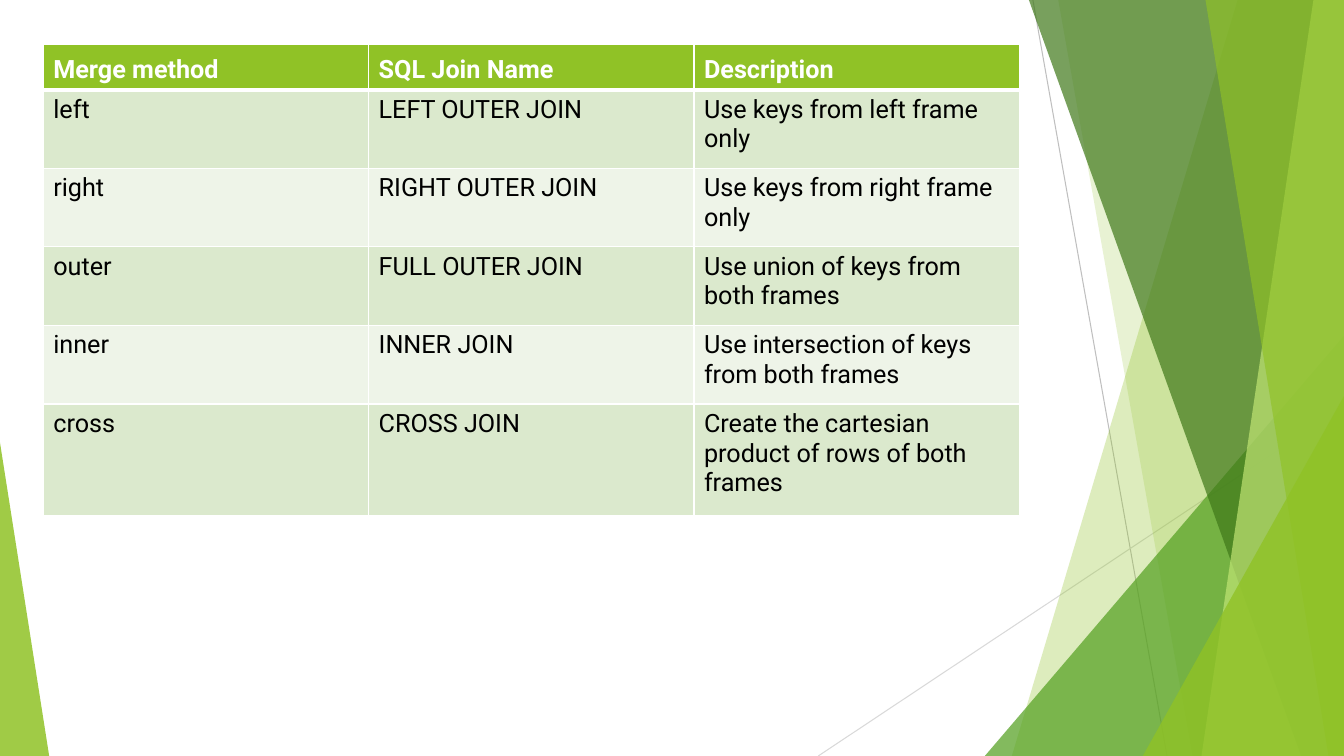
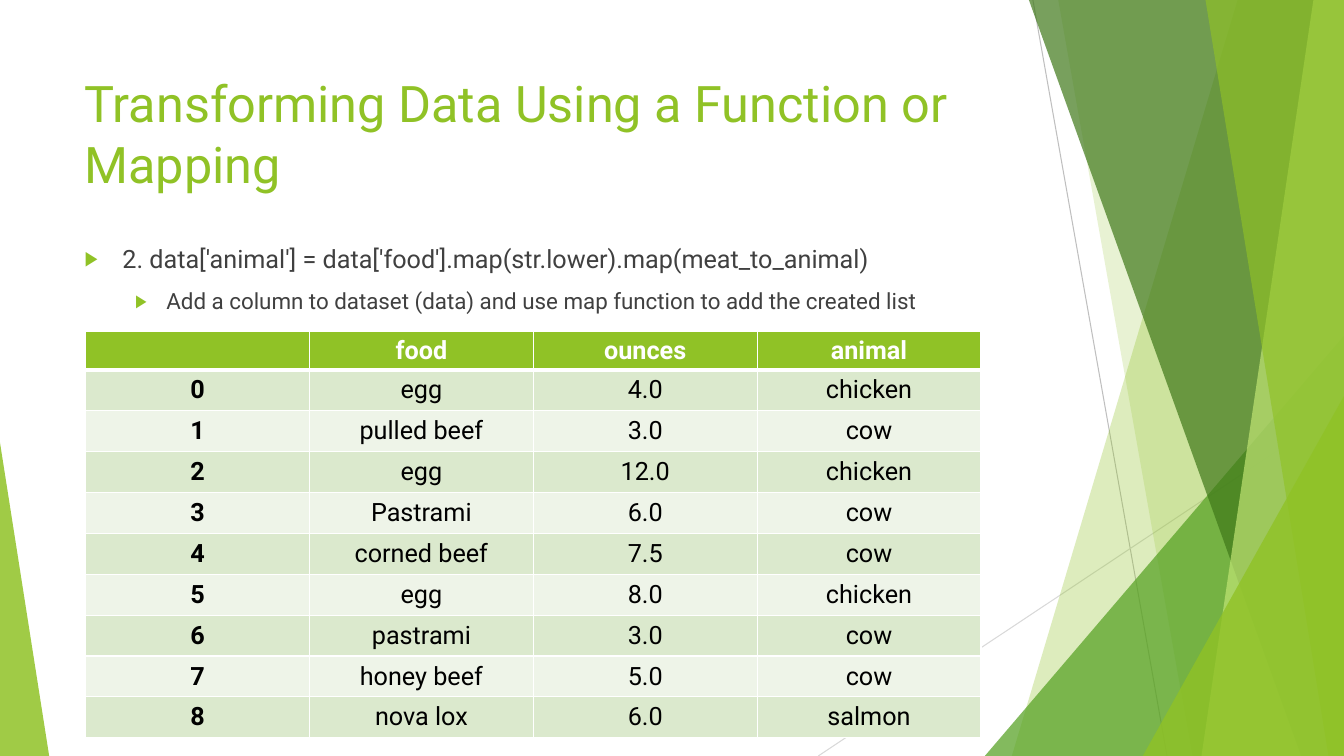
from lxml import etree
from pptx import Presentation
from pptx.dml.color import RGBColor
from pptx.enum.shapes import MSO_CONNECTOR, MSO_SHAPE
from pptx.enum.text import MSO_ANCHOR, MSO_AUTO_SIZE, PP_ALIGN
from pptx.oxml.ns import qn
from pptx.util import Cm, Pt

STRAIGHT = MSO_CONNECTOR.STRAIGHT
TRIANGLE = MSO_SHAPE.ISOSCELES_TRIANGLE
TOP, MIDDLE, BOTTOM = MSO_ANCHOR.TOP, MSO_ANCHOR.MIDDLE, MSO_ANCHOR.BOTTOM
LEFT, CENTER = PP_ALIGN.LEFT, PP_ALIGN.CENTER
FIXED = MSO_AUTO_SIZE.NONE

WIDTH, HEIGHT = 33.87, 19.05
FONT = "Roboto"
COLORS = {
    "lime": "90C226", "green": "54A021", "forest": "3F7819", "pale": "C0E474",
    "band": "DBE9CD", "light": "EEF4E8", "white": "FFFFFF", "black": "000000",
    "text": "404040", "gray": "BFBFBF", "silver": "D9D9D9",
}
LINES = [(26.03, 0, 29.41, HEIGHT, "gray"), (WIDTH, 10.24, 20.62, HEIGHT, "silver")]
# Bands: top x, bottom x, colour, opacity. Peaks: left, top, width, tip, colour, opacity.
DECOR = [
    ("band", 31.19, 25.5, "lime", 30),
    ("band", 26.67, 30.05, "lime", 20),
    ("peak", 24.82, 8.46, 9.05, 1, "green", 72),
    ("band", 25.93, 32.79, "forest", 70),
    ("band", 33.1, 30.28, "pale", 70),
    ("band", 30.38, 33.48, "lime", 65),
    ("peak", 28.8, 9.98, 5.07, 1, "lime", 80),
    ("peak", 0, 11.15, 1.24, 0, "lime", 85),
]
LEVELS = [(18, 0.95, -0.95), (16, 2.06, -0.79)]  # size, margin, indent

JOINS = [
    ("Merge method", "SQL Join Name", "Description"),
    ("left", "LEFT OUTER JOIN", "Use keys from left frame only"),
    ("right", "RIGHT OUTER JOIN", "Use keys from right frame only"),
    ("outer", "FULL OUTER JOIN", "Use union of keys from both frames"),
    ("inner", "INNER JOIN", "Use intersection of keys from both frames"),
    ("cross", "CROSS JOIN", "Create the cartesian product of rows of both frames"),
]
FOODS = [
    ("", "food", "ounces", "animal"),
    ("0", "egg", "4.0", "chicken"),
    ("1", "pulled beef", "3.0", "cow"),
    ("2", "egg", "12.0", "chicken"),
    ("3", "Pastrami", "6.0", "cow"),
    ("4", "corned beef", "7.5", "cow"),
    ("5", "egg", "8.0", "chicken"),
    ("6", "pastrami", "3.0", "cow"),
    ("7", "honey beef", "5.0", "cow"),
    ("8", "nova lox", "6.0", "salmon"),
]


def rgb(name):
    return RGBColor.from_string(COLORS[name])


def child(parent, tag, **attrs):
    return etree.SubElement(parent, qn(tag), attrs)


class Deck:
    def __init__(self):
        self.prs = Presentation()
        self.prs.slide_width, self.prs.slide_height = Cm(WIDTH), Cm(HEIGHT)
        self.slide = None

    def add(self, layout):
        """Start a slide and draw the shared backdrop."""
        self.slide = self.prs.slides.add_slide(self.prs.slide_layouts[layout])
        for line in LINES:
            self.line(*line)
        for kind, *args in DECOR:
            getattr(self, kind)(*args)

    def line(self, x1, y1, x2, y2, color):
        line = self.slide.shapes.add_connector(
            STRAIGHT, Cm(x1), Cm(y1), Cm(x2), Cm(y2))
        line.line.color.rgb = rgb(color)
        line.line.width = Pt(0.75)
        child(line.element.spPr, "a:effectLst")

    def paint(self, shape, color, alpha):
        shape.shadow.inherit = False
        shape.fill.solid()
        shape.fill.fore_color.rgb = rgb(color)
        tint = shape.element.spPr.find(".//" + qn("a:srgbClr"))
        child(tint, "a:alpha", val=str(alpha * 1000))
        shape.line.fill.background()

    def band(self, top, base, color, alpha):
        """Fill from a slanted edge to the right side of the slide."""
        pen = self.slide.shapes.build_freeform(Cm(top), 0)
        pen.add_line_segments([(Cm(WIDTH), 0), (Cm(WIDTH), Cm(HEIGHT)),
                               (Cm(base), Cm(HEIGHT))])
        self.paint(pen.convert_to_shape(), color, alpha)

    def peak(self, x, y, width, tip, color, alpha):
        """Draw a triangle that stands on the bottom of the slide."""
        shape = self.slide.shapes.add_shape(
            TRIANGLE, Cm(x), Cm(y), Cm(width), Cm(HEIGHT - y))
        shape.adjustments[0] = tip
        self.paint(shape, color, alpha)

    def font(self, para, size, color, bold=False):
        font = para.font
        font.name, font.size, font.bold = FONT, Pt(size), bold
        font.color.rgb = rgb(color)

    def place(self, shape, x, y, width, height):
        shape.left, shape.top = Cm(x), Cm(y)
        shape.width, shape.height = Cm(width), Cm(height)
        frame = shape.text_frame
        frame.word_wrap, frame.auto_size = True, FIXED
        frame.vertical_anchor = TOP
        return frame

    def title(self, text):
        frame = self.place(self.slide.shapes.title, 1.88, 1.7, 23.88, 3.66)
        frame.text = text
        para = frame.paragraphs[0]
        para.alignment = LEFT
        self.font(para, 36, "lime")

    def body(self, items):
        frame = self.place(self.slide.placeholders[1], 1.88, 6, 23.88, 10.77)
        frame.text = "\n".join(text for _, text in items)
        for para, (level, _) in zip(frame.paragraphs, items):
            size, margin, indent = LEVELS[level]
            para.level = level
            para.space_before = Pt(10)
            props = para._p.get_or_add_pPr()
            props.set("marL", str(Cm(margin)))
            props.set("indent", str(Cm(indent)))
            child(child(props, "a:buClr"), "a:srgbClr", val=COLORS["lime"])
            child(props, "a:buSzPct", val="80000")
            child(props, "a:buChar", char="▶")
            self.font(para, size, "text")

    def border(self, cell, head):
        props = cell._tc.get_or_add_tcPr()
        for side in "LRTB":
            width = 3 if head and side == "B" else 1
            edge = child(props, "a:ln" + side, w=str(Pt(width)))
            child(child(edge, "a:solidFill"), "a:srgbClr", val=COLORS["white"])

    def table(self, data, x, y, width, heights, anchors, align=LEFT,
              pad=0.13, keys=False):
        """Draw a banded table; anchors are for head and rows, keys bolds column one."""
        cols = len(data[0])
        table = self.slide.shapes.add_table(
            len(data), cols, Cm(x), Cm(y), Cm(width * cols), Cm(sum(heights))).table
        for col in table.columns:
            col.width = Cm(width)
        for r, (row, height) in enumerate(zip(data, heights)):
            table.rows[r].height = Cm(height)
            head = r == 0
            fill = "lime" if head else ("light", "band")[r % 2]
            for c, text in enumerate(row):
                cell = table.cell(r, c)
                self.border(cell, head)
                cell.fill.solid()
                cell.fill.fore_color.rgb = rgb(fill)
                cell.vertical_anchor = anchors[not head]
                cell.margin_top = cell.margin_bottom = Cm(pad)
                cell.text = text
                para = cell.text_frame.paragraphs[0]
                para.alignment = align
                self.font(para, 18, "white" if head else "black",
                          head or (keys and c == 0))


def main():
    deck = Deck()
    deck.add(6)
    deck.table(JOINS, 1.09, 1.12, 8.2, [1.14] + [1.98] * 4 + [2.82], (BOTTOM, TOP))

    deck.add(1)
    deck.title("Transforming Data Using a Function or Mapping")
    deck.body([
        (0, "2. data['animal'] = data['food'].map(str.lower).map(meat_to_animal)"),
        (1, "Add a column to dataset (data) and use map function to add the created list"),
    ])
    deck.table(FOODS, 2.16, 8.35, 5.64, [0.97] + [1.03] * 9, (MIDDLE, MIDDLE),
               CENTER, 0.1, True)
    deck.prs.save("out.pptx")


if __name__ == "__main__":
    main()
